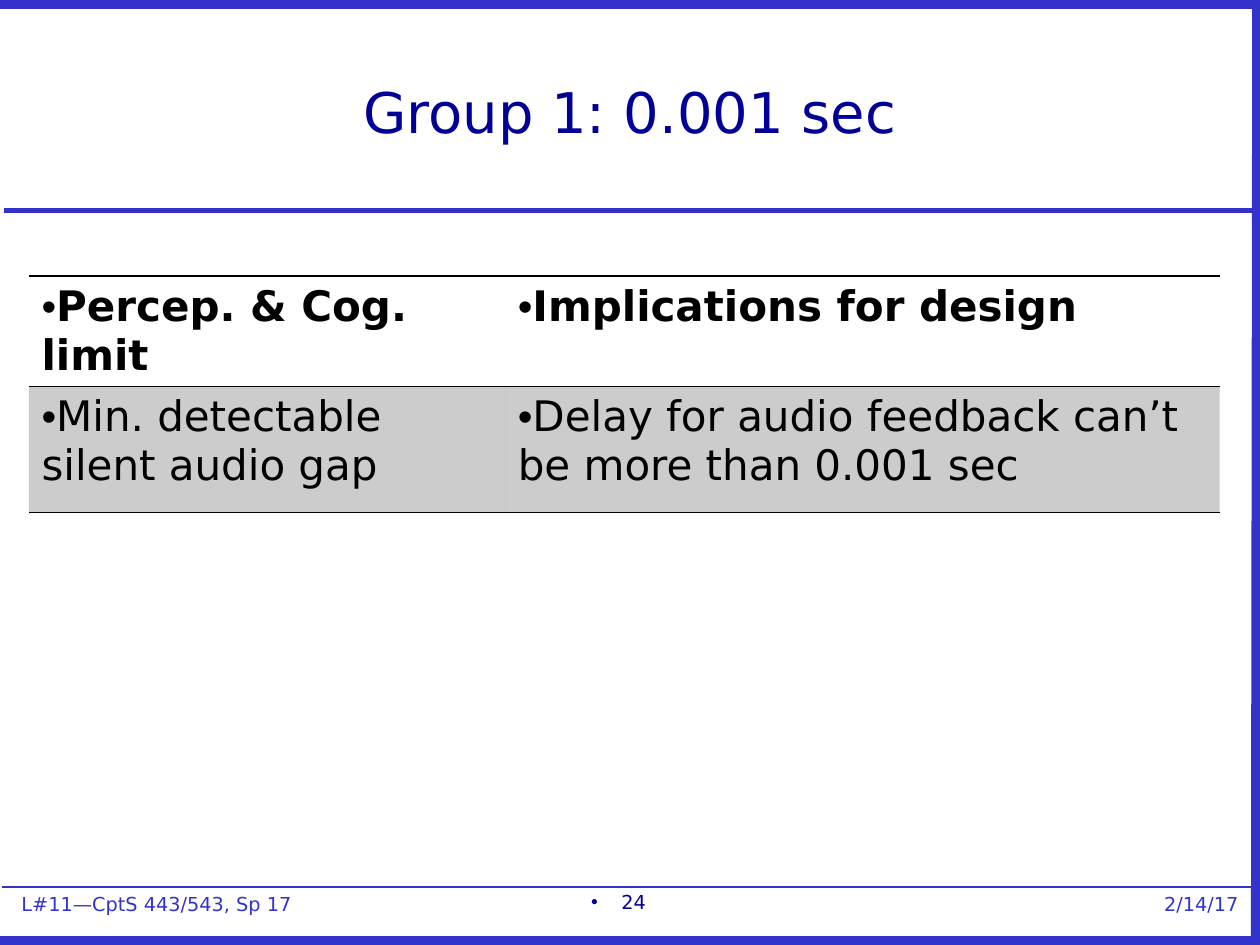
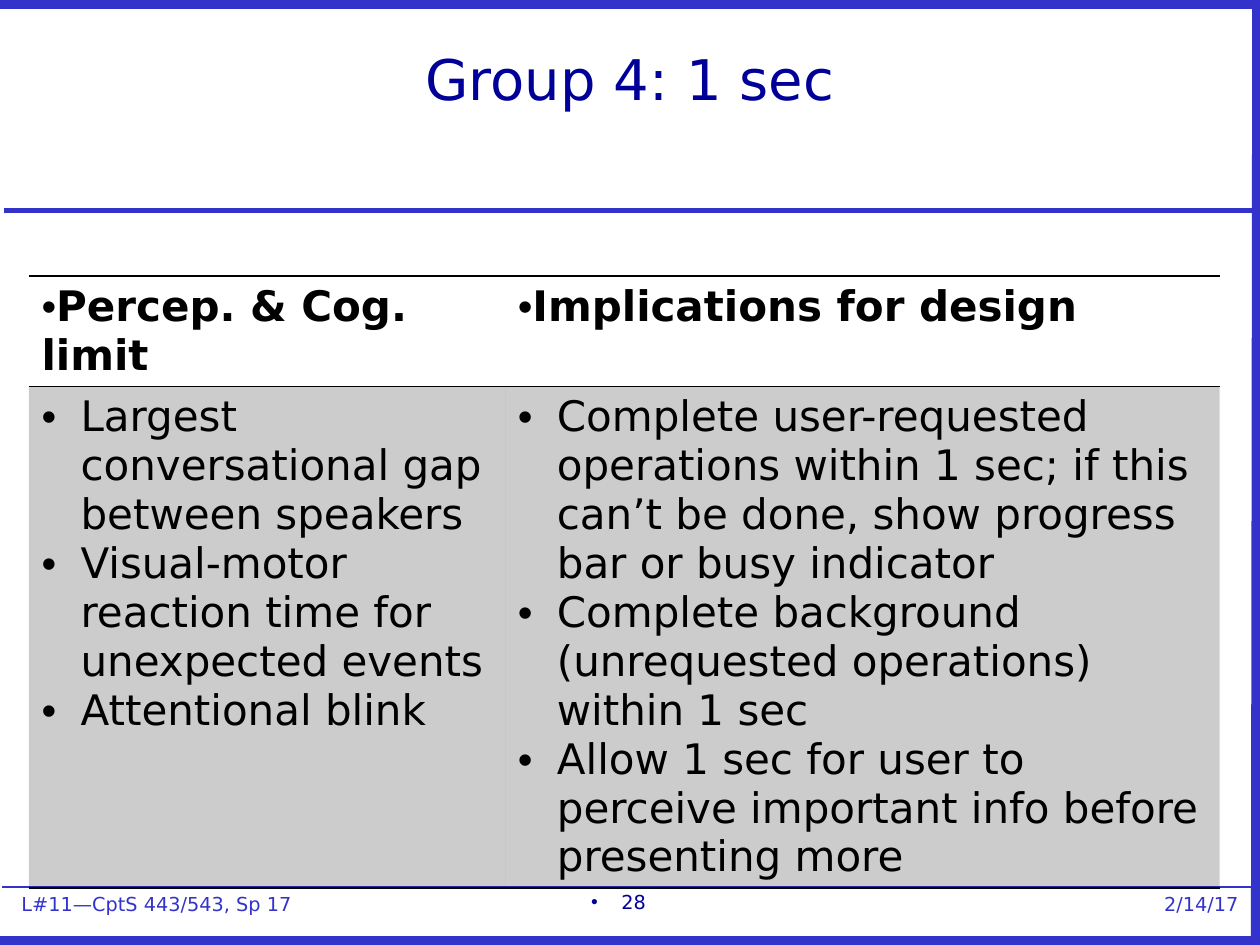
from dataclasses import dataclass

from lxml import etree
from pptx import Presentation
from pptx.dml.color import RGBColor
from pptx.enum.shapes import MSO_CONNECTOR, MSO_SHAPE
from pptx.enum.text import MSO_ANCHOR, MSO_AUTO_SIZE, PP_ALIGN
from pptx.oxml.ns import qn
from pptx.util import Inches, Pt

LEFT, CENTER, RIGHT = PP_ALIGN.LEFT, PP_ALIGN.CENTER, PP_ALIGN.RIGHT
TOP, MIDDLE = MSO_ANCHOR.TOP, MSO_ANCHOR.MIDDLE
STRAIGHT = MSO_CONNECTOR.STRAIGHT
RECTANGLE = MSO_SHAPE.RECTANGLE

WIDTH, HEIGHT = 10, 7.5
MARGIN = 0.17
PLAIN_TABLE_STYLE = "{2D5ABB26-0587-4C30-8999-92F81FD0307C}"


@dataclass(frozen=True)
class Theme:
    font: str = "DejaVu Sans"
    frame: str = "3333CC"
    title: str = "000099"
    ink: str = "000000"
    paper: str = "FFFFFF"
    title_size: int = 32
    table_size: int = 24
    footer_size: int = 11
    shade_percent: int = 20


THEME = Theme()

# start, end, thickness in points
FRAME_RULES = [
    ((0.03, 1.67), (9.97, 1.67), 3),
    ((0, 0.03), (9.98, 0.03), 6),
    ((0, 7.47), (9.98, 7.47), 6),
    ((9.97, HEIGHT), (9.98, 0), 6),
    ((0.02, 7.04), (9.95, 7.04), 1),
]
COLUMN_SHARES = (2 / 5, 3 / 5)
ROW_HEIGHTS = (0.36, 1)
HEADINGS = ("Percep. & Cog. limit", "Implications for design")


def add_xml(parent, tag, **attributes):
    return etree.SubElement(parent, qn(tag), attributes)


def set_bullet(paragraph, hang):
    properties = paragraph._p.get_or_add_pPr()
    properties.set("marL", str(Inches(hang)))
    properties.set("indent", str(-Inches(hang)))
    add_xml(properties, "a:buFont", typeface="Arial")
    add_xml(properties, "a:buChar", char="•")


def write(text_frame, *paragraphs, size, color, bold=False, align=LEFT,
          anchor=TOP, insets=(0.1, 0.05, 0.1, 0.05), hang=None):
    """Fill a frame; insets run left, top, right, bottom; hang adds bullets."""
    text_frame.word_wrap = True
    text_frame.vertical_anchor = anchor
    (text_frame.margin_left, text_frame.margin_top,
     text_frame.margin_right, text_frame.margin_bottom) = map(Inches, insets)
    for index, text in enumerate(paragraphs):
        paragraph = text_frame.add_paragraph() if index else text_frame.paragraphs[0]
        paragraph.alignment = align
        if hang is not None:
            set_bullet(paragraph, hang)
        run = paragraph.add_run()
        run.text = text
        run.font.name = THEME.font
        run.font.size = Pt(size)
        run.font.bold = bold
        run.font.color.rgb = RGBColor.from_string(color)


def add_rule(slide, start, end, thickness):
    rule = slide.shapes.add_connector(STRAIGHT, *map(Inches, start + end))
    rule.line.color.rgb = RGBColor.from_string(THEME.frame)
    rule.line.width = Pt(thickness)
    add_xml(rule._element.spPr, "a:effectLst")


def add_footer(slide, text, left, width, align):
    footer = slide.shapes.add_shape(
        RECTANGLE, *map(Inches, (left, 7.08, width, 0.18)))
    footer.shadow.inherit = False
    footer.fill.solid()
    footer.fill.fore_color.rgb = RGBColor.from_string(THEME.paper)
    footer.line.fill.background()
    write(footer.text_frame, text, size=THEME.footer_size, color=THEME.frame,
          align=align, insets=(0, 0, 0, 0))


def add_page_number(slide, number):
    box = slide.shapes.add_textbox(*map(Inches, (0.25, 7.02, WIDTH - 0.5, 0.17)))
    write(box.text_frame, str(number), size=THEME.footer_size, color=THEME.title,
          align=CENTER, insets=(0, 0.05, 0.18, 0.05), hang=0.24)


def set_title(slide, text, lift):
    """Place the title, raised above the middle by the given length."""
    title = slide.shapes.title
    title.left, title.top, title.width, title.height = map(
        Inches, (MARGIN, MARGIN, WIDTH - 2 * MARGIN, 1.42))
    title.text_frame.auto_size = MSO_AUTO_SIZE.NONE
    write(title.text_frame, text, size=THEME.title_size, color=THEME.title,
          align=CENTER, anchor=MIDDLE, insets=(0.1, 0.05, 0.1, 0.05 + 2 * lift))


def add_border(cell, tag, position):
    border = etree.Element(qn(tag), w=str(Pt(1)))
    fill = add_xml(border, "a:solidFill")
    add_xml(fill, "a:srgbClr", val=THEME.ink)
    cell._tc.get_or_add_tcPr().insert(position, border)


def shade(cell):
    cell.fill.solid()
    cell.fill.fore_color.rgb = RGBColor.from_string(THEME.ink)
    color = cell._tc.tcPr.find(".//" + qn("a:srgbClr"))
    add_xml(color, "a:alpha", val=str(THEME.shade_percent * 1000))


def add_limits_table(slide, limits, implications, hang):
    width = 9.45
    table = slide.shapes.add_table(
        2, 2, *map(Inches, (0.23, 2.19, width, sum(ROW_HEIGHTS)))).table
    table.horz_banding = False
    table._tbl.tblPr.find(qn("a:tableStyleId")).text = PLAIN_TABLE_STYLE
    for row, height in zip(table.rows, ROW_HEIGHTS):
        row.height = Inches(height)
    contents = zip(COLUMN_SHARES, HEADINGS, (limits, implications))
    for index, (share, heading, points) in enumerate(contents):
        table.columns[index].width = Inches(width * share)
        header, body = table.cell(0, index), table.cell(1, index)
        header.fill.background()
        shade(body)
        for cell in (header, body):
            add_border(cell, "a:lnT", 0)
            add_border(cell, "a:lnB", 1)
        style = dict(size=THEME.table_size, color=THEME.ink)
        write_cell(header, heading, bold=True, hang=0, **style)
        write_cell(body, *points, hang=hang, **style)


def write_cell(cell, *paragraphs, **style):
    write(cell.text_frame, *paragraphs, **style)
    cell.vertical_anchor = TOP
    cell.margin_left = cell.margin_right = Inches(0.1)
    cell.margin_top = cell.margin_bottom = Inches(0.05)


def add_group_slide(deck, title, number, limits, implications, hang=0, lift=0):
    slide = deck.slides.add_slide(deck.slide_layouts.get_by_name("Title Only"))
    add_footer(slide, "L#11—CptS 443/543, Sp 17", MARGIN, 2.5, LEFT)
    add_footer(slide, "2/14/17", 7.5, 2.33, RIGHT)
    for start, end, thickness in FRAME_RULES:
        add_rule(slide, start, end, thickness)
    set_title(slide, title, lift)
    add_limits_table(slide, limits, implications, hang)
    add_page_number(slide, number)


def main():
    deck = Presentation()
    deck.slide_width, deck.slide_height = Inches(WIDTH), Inches(HEIGHT)
    add_group_slide(
        deck, "Group 1: 0.001 sec", 24,
        ["Min. detectable silent audio gap"],
        ["Delay for audio feedback can’t be more than 0.001 sec"])
    add_group_slide(
        deck, "Group 4: 1 sec", 28,
        ["Largest conversational gap between speakers",
         "Visual-motor reaction time for unexpected events",
         "Attentional blink"],
        ["Complete user-requested operations within 1 sec; if this can’t be "
         "done, show progress bar or busy indicator",
         "Complete background (unrequested operations) within 1 sec",
         "Allow 1 sec for user to perceive important info before presenting more"],
        hang=0.31, lift=0.26)
    deck.save("out.pptx")


if __name__ == "__main__":
    main()
